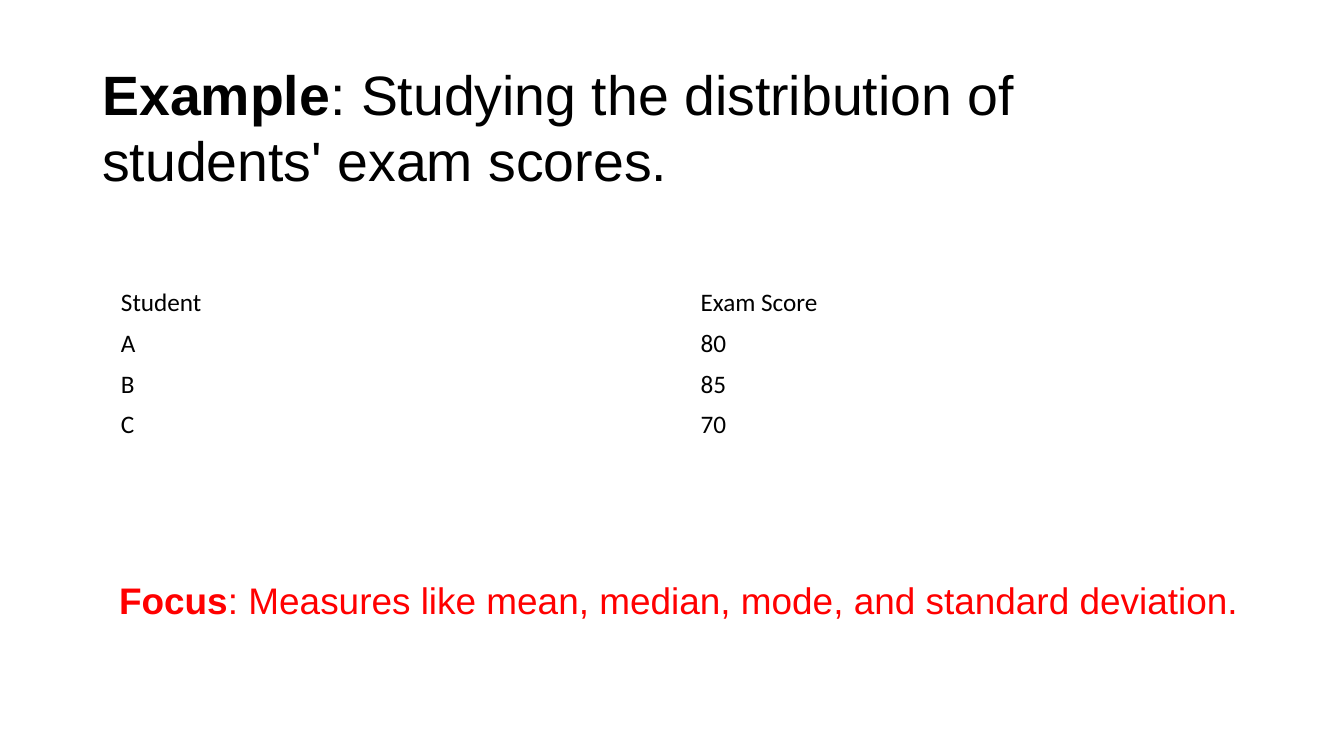
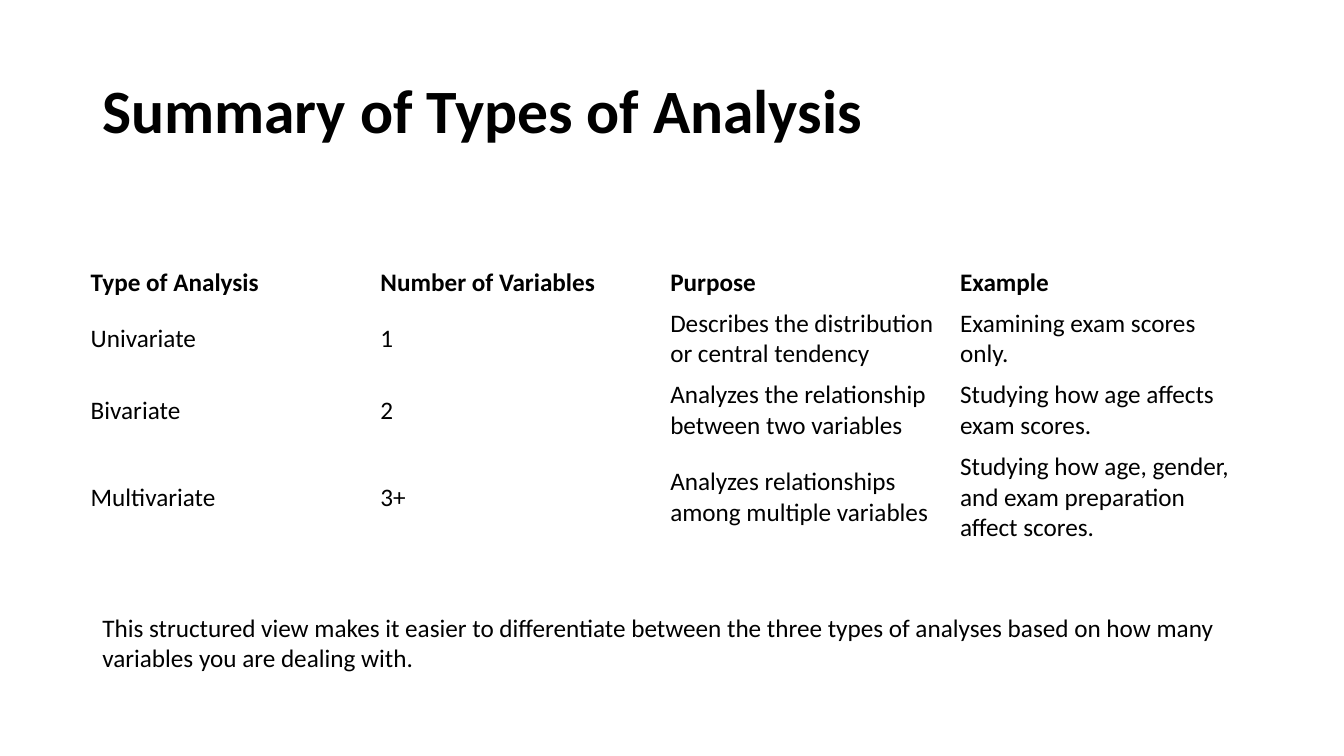
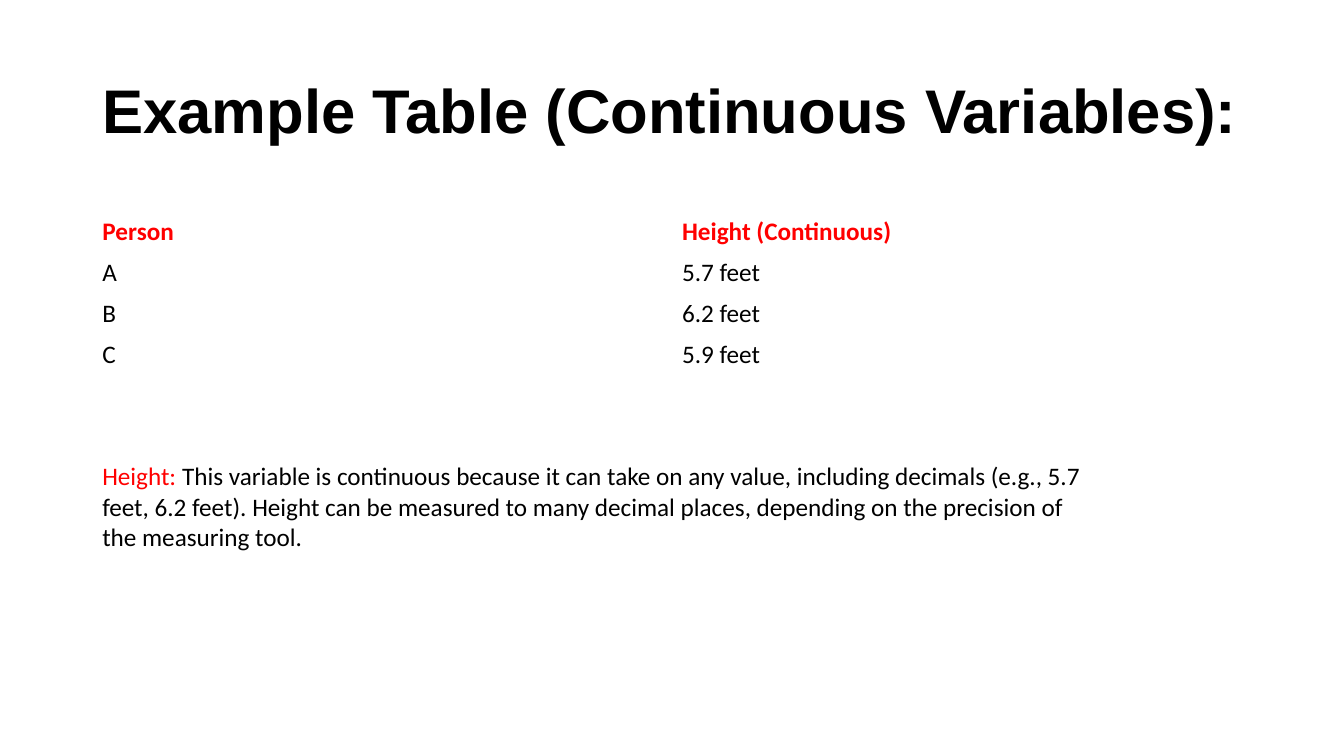
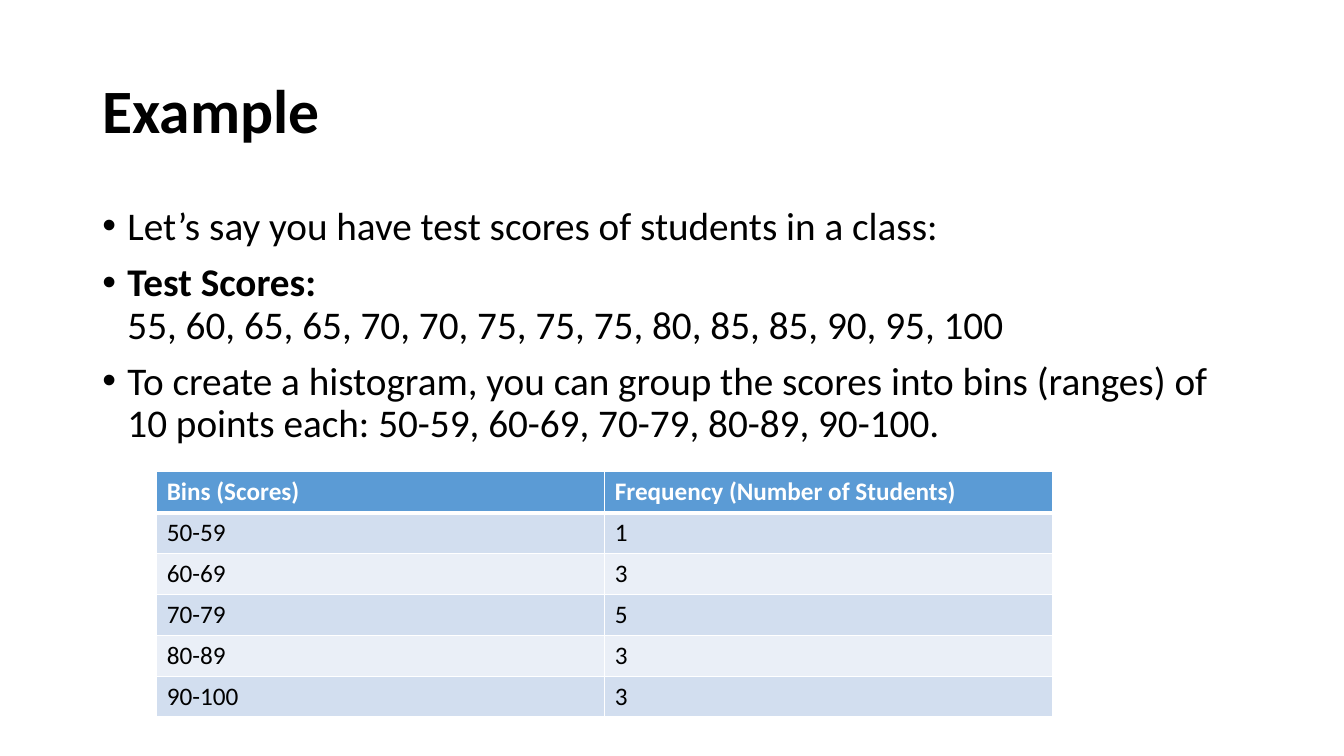
from lxml.etree import SubElement
from pptx import Presentation
from pptx.dml.color import RGBColor
from pptx.enum.text import MSO_ANCHOR as Anchor, MSO_AUTO_SIZE as AutoSize
from pptx.oxml.ns import qn
from pptx.util import Pt

COLORS = {
    "text": "000000",
    "accent": "FF0000",
    "white": "FFFFFF",
    "header": "5B9BD5",
    "odd": "D2DEEF",
    "even": "EAEFF7",
}
LEFT, WIDTH = 66, 828
TITLE_TOP, TITLE_HEIGHT = 28.8, 104.4
LINE_HEIGHT, CELL_PADDING = 22, 7.2

PLAIN = {"name": "Calibri", "size": Pt(18), "bold": False, "color": "text"}
BOLD = PLAIN | {"bold": True}
TITLE = BOLD | {"size": Pt(44)}
BULLET = PLAIN | {"size": Pt(28)}


def color(name):
    return RGBColor.from_string(COLORS[name])


def add_span(para, text, style):
    span = para.add_run()
    span.text = text
    for key, value in style.items():
        if key == "color":
            span.font.color.rgb = color(value)
        else:
            setattr(span.font, key, value)


def add_spans(para, spans):
    for text, style in spans:
        lines = text.split("\n")
        for index, line in enumerate(lines):
            if index:
                para.add_line_break()
            if line:
                add_span(para, line, style)


def add_text(page, bounds, paragraphs, anchor=Anchor.TOP, spacing=1.0, bullets=False, grow=False):
    box = page.shapes.add_textbox(*map(Pt, bounds))
    frame = box.text_frame
    settings = {
        "word_wrap": True,
        "vertical_anchor": anchor,
        "auto_size": AutoSize.SHAPE_TO_FIT_TEXT if grow else AutoSize.NONE,
    }
    for key, value in settings.items():
        setattr(frame, key, value)
    for index, spans in enumerate(paragraphs):
        para = frame.add_paragraph() if index else frame.paragraphs[0]
        para.line_spacing = spacing
        if bullets:
            para.space_before = Pt(10 if index else 0)
            add_bullet(para)
        add_spans(para, spans)


def add_bullet(para):
    properties = para._p.get_or_add_pPr()
    properties.set("marL", str(Pt(18)))
    properties.set("indent", str(Pt(-18)))
    SubElement(properties, qn("a:buFont"), typeface="Arial")
    SubElement(properties, qn("a:buChar"), char="•")


def add_title(page, spans, top=TITLE_TOP, spacing=0.9):
    add_text(page, (LEFT, top, WIDTH, TITLE_HEIGHT), [spans], Anchor.MIDDLE, spacing)


def add_borders(cell, bottom_width):
    properties = cell._tc.get_or_add_tcPr()
    widths = {"a:lnL": 1, "a:lnR": 1, "a:lnT": 1, "a:lnB": bottom_width}
    for position, (tag, width) in enumerate(widths.items()):
        line = SubElement(properties, qn(tag), w=str(Pt(width)))
        fill = SubElement(line, qn("a:solidFill"))
        SubElement(fill, qn("a:srgbClr"), val=COLORS["white"])
        properties.insert(position, line)


def add_grid(page, left, top, width, rows, header_style, line_counts=None, banded=False):
    line_counts = line_counts or [1] * len(rows)
    heights = [count * LINE_HEIGHT + CELL_PADDING for count in line_counts]
    columns = len(rows[0])
    bounds = map(Pt, (left, top, width, sum(heights)))
    table = page.shapes.add_table(len(rows), columns, *bounds).table
    table.first_row = table.horz_banding = False
    for column in table.columns:
        column.width = Pt(width / columns)
    for index, (values, height) in enumerate(zip(rows, heights)):
        table.rows[index].height = Pt(height)
        for cell, value in zip(table.rows[index].cells, values):
            add_span(cell.text_frame.paragraphs[0], value, PLAIN if index else header_style)
            if banded:
                band = "odd" if index % 2 else "even"
                cell.fill.solid()
                cell.fill.fore_color.rgb = color(band if index else "header")
                add_borders(cell, 1 if index else 3)
            else:
                cell.vertical_anchor = Anchor.MIDDLE
                cell.fill.background()


def build_scores(page):
    heading = {"name": "Arial", "size": Pt(39.6), "color": "text"}
    focus = {"name": "Arial", "size": Pt(26.4), "color": "accent"}
    add_title(page, [
        ("Example", heading | {"bold": True}),
        (": Studying the distribution of students' exam scores.", heading),
    ], top=38, spacing=1.0)
    rows = [("Student", "Exam Score"), ("A", "80"), ("B", "85"), ("C", "70")]
    add_grid(page, 79.2, 201.6, WIDTH, rows, PLAIN)
    add_text(page, (78, 406, WIDTH, 50), [[
        ("Focus", focus | {"bold": True}),
        (": Measures like mean, median, mode, and standard deviation.", focus),
    ]], Anchor.MIDDLE, 0.8)


def build_summary(page):
    add_title(page, [("Summary of Types of Analysis", TITLE)])
    rows = [
        ("Type of Analysis", "Number of Variables", "Purpose", "Example"),
        ("Univariate", "1", "Describes the distribution or central tendency",
         "Examining exam scores only."),
        ("Bivariate", "2", "Analyzes the relationship between two variables",
         "Studying how age affects exam scores."),
        ("Multivariate", "3+", "Analyzes relationships among multiple variables",
         "Studying how age, gender, and exam preparation affect scores."),
    ]
    add_grid(page, 57.6, 187.2, WIDTH, rows, BOLD, line_counts=[1, 2, 2, 3])
    add_text(page, (LEFT, 433.5, WIDTH, 51), [[
        ("This structured view makes it easier to differentiate between the three types of "
         "analyses based on how many variables you are dealing with.", PLAIN),
    ]], grow=True)


def build_heights(page):
    add_title(page, [("Example Table (Continuous Variables):", TITLE | {"name": "Arial"})])
    rows = [("Person", "Height (Continuous)"), ("A", "5.7 feet"), ("B", "6.2 feet"), ("C", "5.9 feet")]
    add_grid(page, LEFT, 151.2, WIDTH, rows, BOLD | {"color": "accent"})
    add_text(page, (LEFT, 325.5, 726, 73), [[
        ("Height: ", PLAIN | {"color": "accent"}),
        ("This variable is continuous because it can take on any value, including decimals "
         "(e.g., 5.7 feet, 6.2 feet). Height can be measured to many decimal places, "
         "depending on the precision of the measuring tool.", PLAIN),
    ]], grow=True)


def build_histogram(page):
    add_title(page, [("Example", TITLE)])
    add_text(page, (LEFT, 144, WIDTH, 343), [
        [("Let’s say you have test scores of students in a class:", BULLET)],
        [("Test Scores:\n", BULLET | {"bold": True}),
         ("55, 60, 65, 65, 70, 70, 75, 75, 75, 80, 85, 85, 90, 95, 100", BULLET)],
        [("To create a histogram, you can group the scores into bins (ranges) of 10 points "
          "each: 50-59, 60-69, 70-79, 80-89, 90-100.", BULLET)],
    ], spacing=0.9, bullets=True)
    rows = [
        ("Bins (Scores)", "Frequency (Number of Students)"),
        ("50-59", "1"), ("60-69", "3"), ("70-79", "5"), ("80-89", "3"), ("90-100", "3"),
    ]
    add_grid(page, 112, 337, 640, rows, BOLD | {"color": "white"}, banded=True)


def main():
    deck = Presentation()
    deck.slide_width, deck.slide_height = Pt(960), Pt(540)
    for build in (build_scores, build_summary, build_heights, build_histogram):
        build(deck.slides.add_slide(deck.slide_layouts[6]))
    deck.save("out.pptx")


if __name__ == "__main__":
    main()
